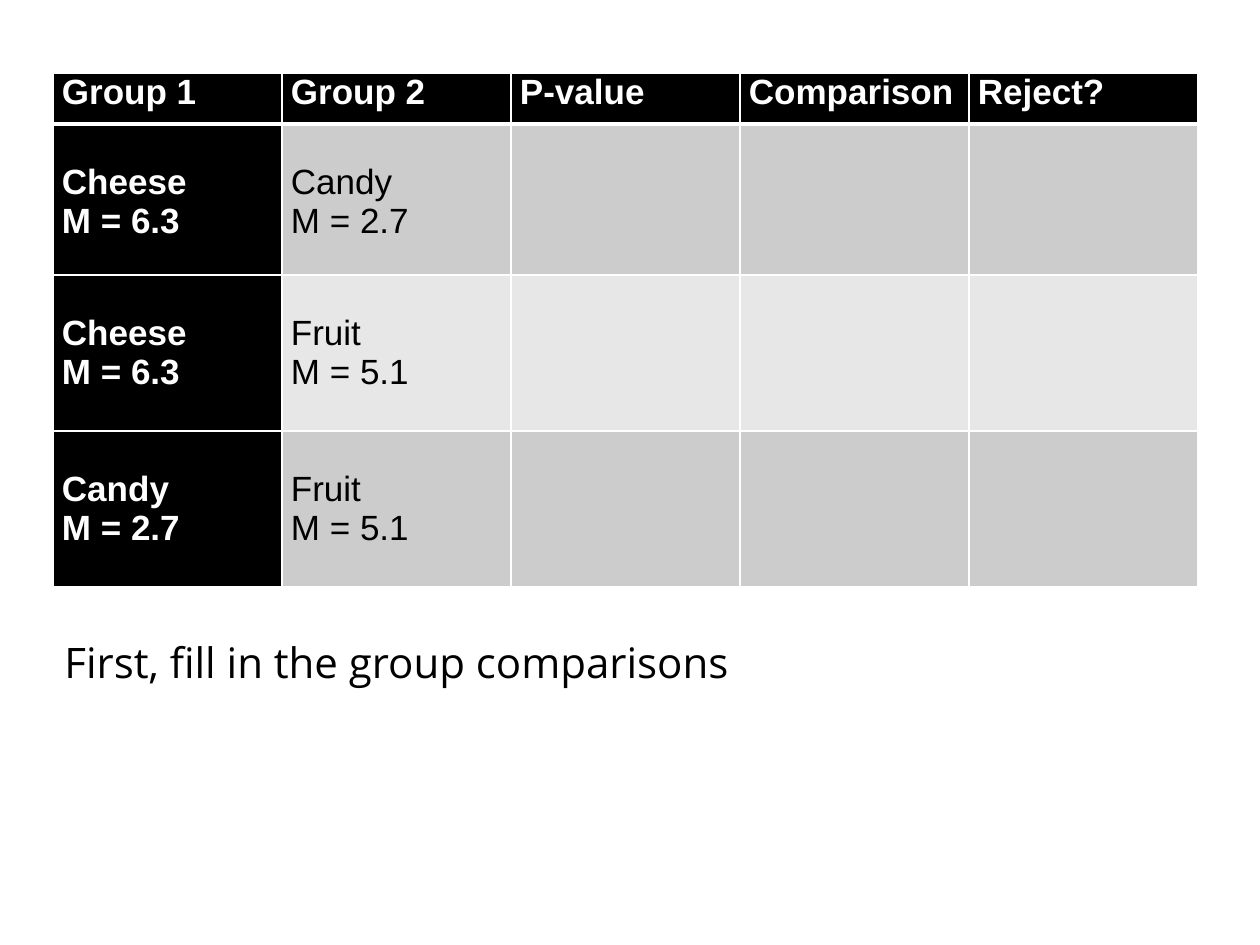
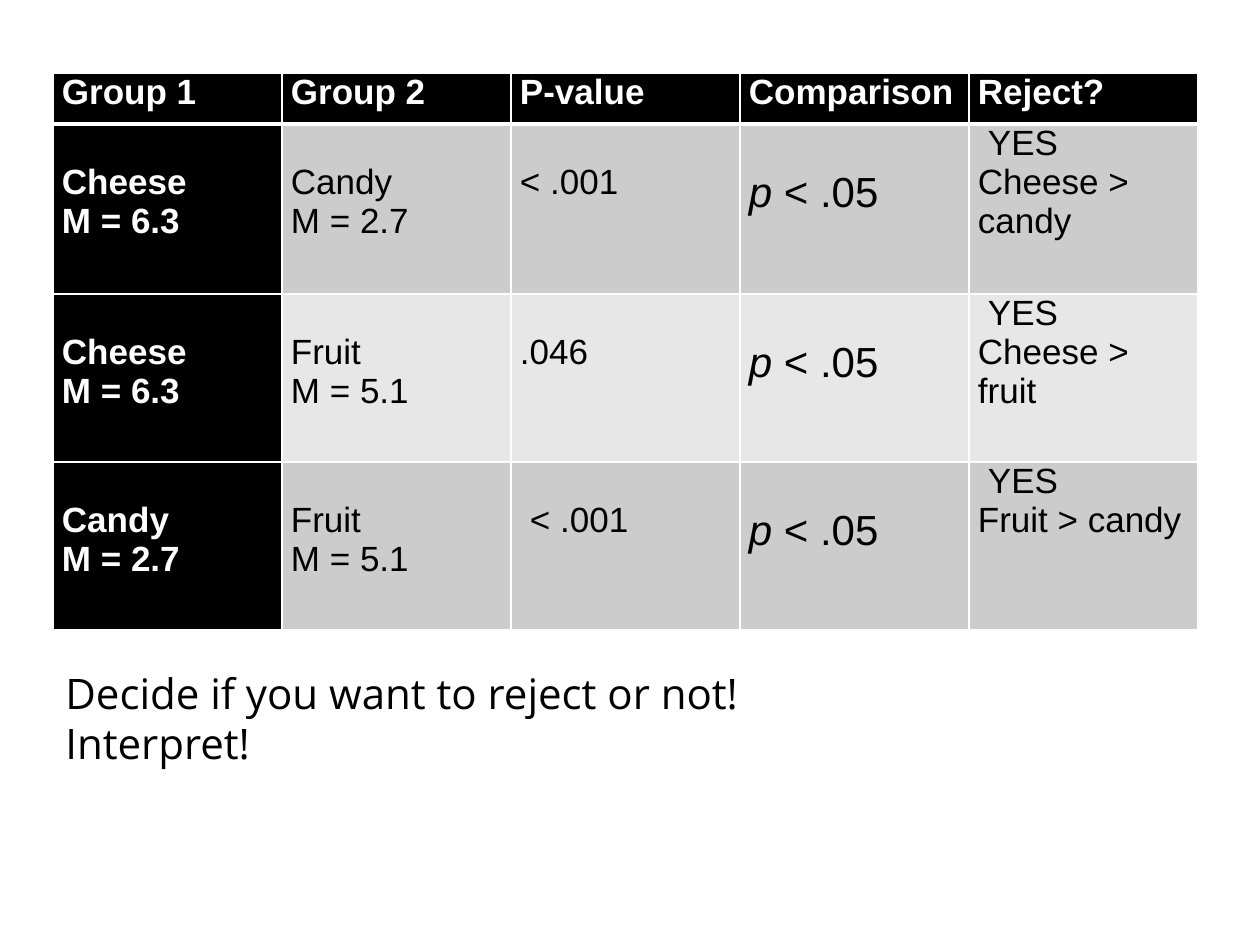
from lxml.etree import SubElement
from pptx import Presentation
from pptx.dml.color import RGBColor
from pptx.oxml.ns import qn
from pptx.util import Emu, Pt

SCALE = 914400 / 126
COLORS = {"black": "000000", "white": "FFFFFF", "dark": "CCCCCC", "light": "E7E7E7"}
HEADS = ["Group 1", "Group 2", "P-value", "Comparison", "Reject?"]
PAIRS = [("Cheese", "Candy"), ("Cheese", "Fruit"), ("Candy", "Fruit")]
MEANS = {"Cheese": "M = 6.3", "Candy": "M = 2.7", "Fruit": "M = 5.1"}
RESULTS = [("< .001", 0, "Cheese > candy"),
           (".046", 0, "Cheese > fruit"),
           ("< .001", 10, "Fruit > candy")]
LEFT, TOP, WIDE, HEAD = 53, 73, 229, 51
LINE, BIG, PAD = 39, 46, 9


def px(count):
    """Turn pixels into EMU."""
    return Emu(round(count * SCALE))


def tint(name):
    """Return a named colour."""
    return RGBColor.from_string(COLORS[name])


def add_run(par, text, size=20, font="Arial", color="black", bold=False, italic=False):
    """Add one styled run to a paragraph."""
    run = par.add_run()
    run.text = text
    run.font.size = Pt(size)
    run.font.name = font
    run.font.color.rgb = tint(color)
    run.font.bold = bold
    run.font.italic = italic


def add_lines(frame, lines, indent=0, **style):
    """Write one paragraph per line, the first one indented."""
    for i, line in enumerate(lines):
        par = frame.add_paragraph() if i else frame.paragraphs[0]
        if indent and not i:
            par._p.get_or_add_pPr().set("marL", str(px(indent)))
        add_run(par, line, **style)


def add_edge(cell, side, width):
    """Draw one white border of a cell."""
    edge = SubElement(cell._tc.get_or_add_tcPr(), qn("a:ln" + side), w=str(Pt(width)))
    fill = SubElement(edge, qn("a:solidFill"))
    SubElement(fill, qn("a:srgbClr"), val=COLORS["white"])


def style_cell(cell, row, col):
    """Set the margins, borders and fill of a cell."""
    cell.margin_left = cell.margin_right = px(PAD)
    cell.margin_top = cell.margin_bottom = 0
    for side in "LRTB":
        thick = (row, side) in ((0, "B"), (1, "T"))
        add_edge(cell, side, 3 if thick else 1)
    band = "dark" if row % 2 else "light"
    cell.fill.solid()
    cell.fill.fore_color.rgb = tint("black" if row == 0 or col == 0 else band)


def add_grid(slide, heights):
    """Add the table with its heads and group pairs."""
    sizes = [HEAD, *heights]
    frame = slide.shapes.add_table(len(sizes), len(HEADS), px(LEFT), px(TOP),
                                   px(WIDE * len(HEADS)), px(sum(sizes)))
    grid = frame.table
    for col in grid.columns:
        col.width = px(WIDE)
    for row, size in enumerate(sizes):
        grid.rows[row].height = px(size)
        for col in range(len(HEADS)):
            style_cell(grid.cell(row, col), row, col)
    for col, head in enumerate(HEADS):
        add_lines(grid.cell(0, col).text_frame, [head], color="white", bold=True)
    for row, pair in enumerate(PAIRS, 1):
        for col, group in enumerate(pair):
            cell = grid.cell(row, col)
            cell.margin_top = px(LINE)
            add_lines(cell.text_frame, [group, MEANS[group]],
                      color="black" if col else "white", bold=not col)
    return grid


def add_results(grid):
    """Fill in the p-values, comparisons and decisions."""
    for row, (value, indent, verdict) in enumerate(RESULTS, 1):
        score, test, choice = [grid.cell(row, col) for col in (2, 3, 4)]
        score.margin_top = px(LINE)
        add_lines(score.text_frame, [value], indent)
        test.margin_top = px(BIG)
        par = test.text_frame.paragraphs[0]
        add_run(par, "p", size=24, italic=True)
        add_run(par, " < .05", size=24)
        add_lines(choice.text_frame, ["YES", verdict], 10)


def add_note(slide, left, top, width, height, lines):
    """Add the instruction below the table."""
    box = slide.shapes.add_textbox(px(left), px(top), px(width), px(height))
    box.text_frame.word_wrap = False
    add_lines(box.text_frame, lines, size=24, font="Open Sans")


def main():
    """Build and save both slides."""
    deck = Presentation()
    deck.slide_width, deck.slide_height = px(1260), px(945)
    blank = deck.slide_layouts[6]

    slide = deck.slides.add_slide(blank)
    add_grid(slide, [151, 156, 156])
    add_note(slide, 52, 630, 740, 64, ["First, fill in the group comparisons"])

    slide = deck.slides.add_slide(blank)
    add_results(add_grid(slide, [170, 168, 168]))
    add_note(slide, 53, 661, 742, 115, ["Decide if you want to reject or not!", "Interpret!"])

    deck.save("out.pptx")


if __name__ == "__main__":
    main()
